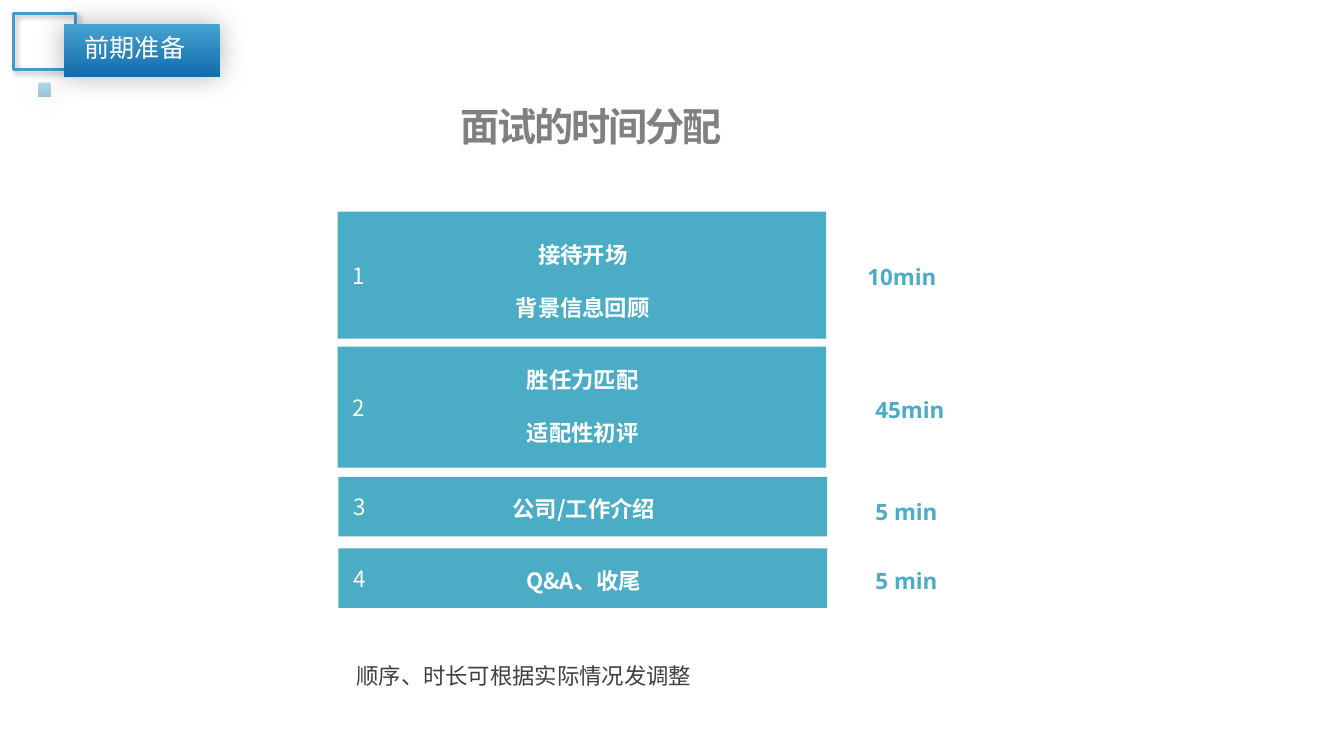
from dataclasses import dataclass
from typing import Optional

from lxml import etree
from pptx import Presentation
from pptx.dml.color import RGBColor
from pptx.enum.shapes import MSO_SHAPE
from pptx.enum.text import MSO_ANCHOR, PP_ALIGN
from pptx.oxml.ns import qn
from pptx.util import Pt

RECT = MSO_SHAPE.RECTANGLE
LEFT, CENTER = PP_ALIGN.LEFT, PP_ALIGN.CENTER
TOP, MIDDLE = MSO_ANCHOR.TOP, MSO_ANCHOR.MIDDLE


@dataclass(frozen=True)
class Theme:
    teal: str = "4BACC6"
    white: str = "FFFFFF"
    title_gray: str = "808080"
    note_gray: str = "404040"
    frame: str = "419DCD"
    tag_top: str = "46A2D0"
    tag_bottom: str = "146DAD"
    shadow: str = "000000"
    latin: str = "Open Sans"
    cjk: str = "Noto Sans CJK SC"
    title_size: float = 28
    tag_size: float = 18
    body_size: float = 16


THEME = Theme()
TIGHT = (3.6, 2.2, 3.6, 2.2)
ROOMY = (7.2, 3.6, 7.2, 3.6)
NUMBER_INSETS = (10.8, 3.6, 7.2, 3.6)


@dataclass(frozen=True)
class Box:
    left: float
    top: float
    width: float
    height: float

    def emu(self) -> tuple:
        return Pt(self.left), Pt(self.top), Pt(self.width), Pt(self.height)


@dataclass(frozen=True)
class Stage:
    bar: Box
    topics: tuple
    topics_box: Box
    duration: str
    duration_box: Box
    line: float = 19
    gap: float = 0


@dataclass(frozen=True)
class Ornament:
    box: Box
    blur: float
    distance: float = 0
    angle: int = 0
    outlined: bool = False
    alpha: Optional[int] = None


STAGES = (
    Stage(Box(241.2, 151.2, 349.2, 90.7), ("接待开场", "背景信息回顾"),
          Box(298.8, 151.2, 235.4, 75.6), "10min", Box(616.3, 185.8, 67.7, 23), line=38),
    Stage(Box(241.2, 247.7, 349.2, 86.4), ("胜任力匹配", "适配性初评"),
          Box(298.8, 259.2, 235.4, 61.9), "45min", Box(622.1, 280.8, 67.7, 23), gap=19),
    Stage(Box(241.9, 340.6, 349.2, 42.5), ("公司/工作介绍",),
          Box(299.5, 351.4, 235.4, 23), "5 min", Box(622.1, 353.5, 67.7, 23)),
    Stage(Box(241.9, 391.7, 349.2, 42.5), ("Q&A、收尾",),
          Box(299.5, 403.2, 235.4, 23), "5 min", Box(622.1, 403.2, 67.7, 23)),
)

ORNAMENTS = (
    Ornament(Box(9.4, 9.4, 44.6, 40.3), blur=4, distance=3, angle=45, outlined=True),
    Ornament(Box(45.4, 17.3, 111.6, 37.4), blur=20),
    Ornament(Box(27.4, 59, 8.6, 10.1), blur=20, alpha=40),
)


def rgb(color: str) -> RGBColor:
    return RGBColor.from_string(color)


def write_text(sp, *lines: str, size: float = THEME.body_size, color: str = THEME.white,
               font: str = THEME.cjk, bold: bool = False, align=LEFT, anchor=TOP,
               insets: tuple = TIGHT, wrap: bool = True, line: Optional[float] = None,
               gap: float = 0, tracking: float = 0) -> None:
    tf = sp.text_frame
    tf.word_wrap = wrap
    tf.vertical_anchor = anchor
    tf.margin_left, tf.margin_top, tf.margin_right, tf.margin_bottom = map(Pt, insets)
    for i, text in enumerate(lines):
        p = tf.add_paragraph() if i else tf.paragraphs[0]
        p.alignment = align
        p.space_before = Pt(gap if i else 0)
        if line:
            p.line_spacing = Pt(line)
        r = p.add_run()
        r.text = text
        r.font.size = Pt(size)
        r.font.bold = bold
        r.font.name = font
        r.font.color.rgb = rgb(color)
        rpr = r.font._element
        etree.SubElement(rpr, qn("a:ea"), typeface=THEME.cjk)
        if tracking:
            rpr.set("spc", str(round(tracking * 100)))


def add_text(slide, box: Box, *lines: str, **fmt) -> None:
    write_text(slide.shapes.add_textbox(*box.emu()), *lines, **fmt)


def add_rect(slide, box: Box):
    sp = slide.shapes.add_shape(RECT, *box.emu())
    sp.shadow.inherit = False
    sp.line.fill.background()
    return sp


def add_alpha(color_element, percent: int) -> None:
    etree.SubElement(color_element, qn("a:alpha"), val=str(percent * 1000))


def cast_shadow(sp, item: Ornament) -> None:
    effects = sp._element.spPr.find(qn("a:effectLst"))
    outer = etree.SubElement(effects, qn("a:outerShdw"), blurRad=str(Pt(item.blur)),
                             dist=str(Pt(item.distance)), dir=str(item.angle * 60000),
                             algn="ctr", rotWithShape="0")
    add_alpha(etree.SubElement(outer, qn("a:srgbClr"), val=THEME.shadow), 30)


def add_ornament(slide, item: Ornament) -> None:
    sp = add_rect(slide, item.box)
    if item.outlined:
        sp.fill.background()
        sp.line.color.rgb = rgb(THEME.frame)
        sp.line.width = Pt(2)
    else:
        sp.fill.gradient()
        sp.fill.gradient_angle = 270
        for stop, color in zip(sp.fill.gradient_stops, (THEME.tag_top, THEME.tag_bottom)):
            stop.color.rgb = rgb(color)
        if item.alpha:
            for clr in sp._element.spPr.iter(qn("a:srgbClr")):
                add_alpha(clr, item.alpha)
    cast_shadow(sp, item)


def add_stage(slide, number: int, stage: Stage) -> None:
    bar = add_rect(slide, stage.bar)
    bar.fill.solid()
    bar.fill.fore_color.rgb = rgb(THEME.teal)
    write_text(bar, str(number), anchor=MIDDLE, insets=NUMBER_INSETS)
    add_text(slide, stage.topics_box, *stage.topics, bold=True, align=CENTER,
             line=stage.line, gap=stage.gap)
    add_text(slide, stage.duration_box, stage.duration, bold=True,
             font=THEME.latin, color=THEME.teal)


def main() -> None:
    prs = Presentation()
    prs.slide_width, prs.slide_height = Pt(960.5), Pt(540)
    slide = prs.slides.add_slide(prs.slide_layouts[5])

    title = slide.shapes.title
    title.left, title.top, title.width, title.height = Box(162.7, 71.3, 519.8, 37.4).emu()
    write_text(title, "面试的时间分配", size=THEME.title_size, color=THEME.title_gray,
               font=THEME.latin, bold=True, align=CENTER, anchor=MIDDLE, tracking=-1.5)

    for number, stage in enumerate(STAGES, start=1):
        add_stage(slide, number, stage)
    for item in ORNAMENTS:
        add_ornament(slide, item)

    add_text(slide, Box(53.3, 19.4, 87.1, 28.8), "前期准备", size=THEME.tag_size,
             insets=ROOMY, wrap=False)
    add_text(slide, Box(247.7, 469.4, 257, 26.6), "顺序、时长可根据实际情况发调整",
             color=THEME.note_gray, insets=ROOMY, wrap=False)
    prs.save("out.pptx")


if __name__ == "__main__":
    main()
